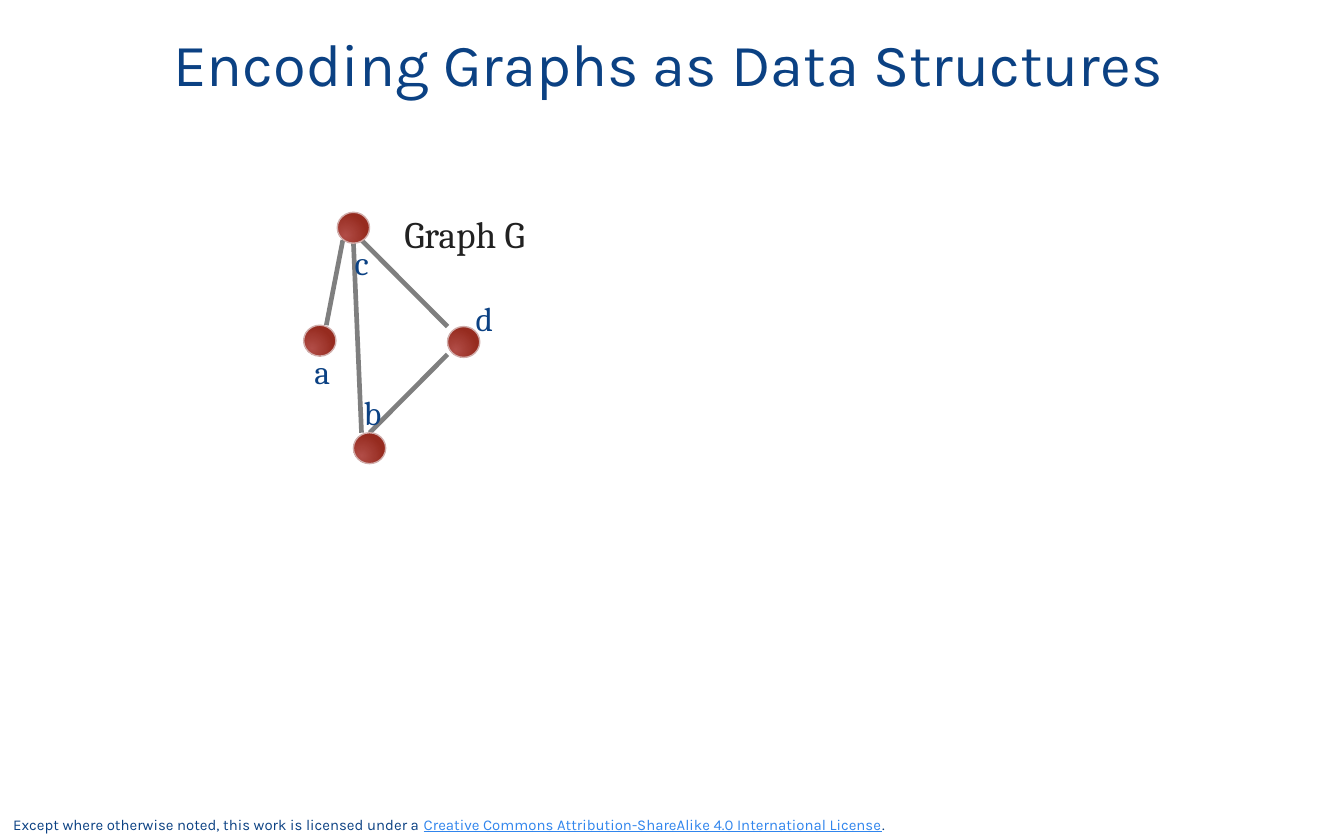
from lxml import etree
from pptx import Presentation
from pptx import util as u
from pptx.dml.color import RGBColor
from pptx.enum import shapes, text
from pptx.oxml import ns

WIDTH, HEIGHT = 10, 6.25
NODE_WIDTH, NODE_HEIGHT = 0.24, 0.23

NAVY = RGBColor(0x0B, 0x41, 0x83)
LINK_BLUE = RGBColor(0x30, 0x85, 0xED)
INK = RGBColor(0x21, 0x21, 0x21)
GRAY = RGBColor(0x7F, 0x7F, 0x7F)
LIGHT_RED = RGBColor(0xB1, 0x4D, 0x47)
DARK_RED = RGBColor(0x96, 0x2B, 0x1F)
NODE_RIM = RGBColor(0xD1, 0xAE, 0xAC)

# Left, top of each node
NODES = {"c": (2.51, 1.58), "d": (3.33, 2.43), "b": (2.63, 3.22), "a": (2.26, 2.42)}

# Edges: node, share of its width and height, then the same for the other end
EDGES = [
    ("c", 0.17, 0.9, "a", 0.7, 0),
    ("c", 0.5, 1, "b", 0.25, 0),
    ("c", 0.75, 0.9, "d", 0, 0),
    ("b", 0.5, 0, "d", 0, 0.9),
]

# Left, top, width of each node label
LABELS = {
    "a": (2.24, 2.56, 0.33),
    "b": (2.61, 2.87, 0.34),
    "c": (2.54, 1.75, 0.32),
    "d": (3.44, 2.17, 0.35),
}


def add_text(slide, box, runs, font, size, wrap=False,
             anchor=text.MSO_ANCHOR.TOP, align=text.PP_ALIGN.LEFT):
    """Add one paragraph; runs holds (words, colour, underline)."""
    shape = slide.shapes.add_textbox(*map(u.Inches, box))
    frame = shape.text_frame
    frame.word_wrap = wrap
    frame.vertical_anchor = anchor
    paragraph = frame.paragraphs[0]
    paragraph.alignment = align
    for words, color, underline in runs:
        run = paragraph.add_run()
        run.text = words
        run.font.name = font
        run.font.size = u.Pt(size)
        run.font.color.rgb = color
        run.font.underline = underline


def point_on(node, across, down):
    left, top = NODES[node]
    return u.Inches(left + across * NODE_WIDTH), u.Inches(top + down * NODE_HEIGHT)


def add_edge(slide, start, end):
    line = slide.shapes.add_connector(shapes.MSO_CONNECTOR.STRAIGHT, *start, *end)
    line.line.color.rgb = GRAY
    line.line.width = u.Pt(2.5)
    etree.SubElement(line._element.spPr, ns.qn("a:effectLst"))


def add_node(slide, left, top):
    box = map(u.Inches, (left, top, NODE_WIDTH, NODE_HEIGHT))
    shape = slide.shapes.add_shape(shapes.MSO_SHAPE.OVAL, *box)
    shape.shadow.inherit = False
    shape.line.color.rgb = NODE_RIM
    shape.line.width = u.Pt(0.75)
    shape.fill.gradient()
    for stop, color, position in zip(shape.fill.gradient_stops,
                                     (LIGHT_RED, DARK_RED), (0, 1)):
        stop.color.rgb = color
        stop.position = position
    # Radial shading instead of linear
    linear = shape._element.spPr.find(".//" + ns.qn("a:lin"))
    radial = etree.Element(ns.qn("a:path"), path="circle")
    etree.SubElement(radial, ns.qn("a:fillToRect"),
                     l="50000", t="100000", r="100000", b="50000")
    linear.getparent().replace(linear, radial)


def main():
    presentation = Presentation()
    presentation.slide_width = u.Inches(WIDTH)
    presentation.slide_height = u.Inches(HEIGHT)
    slide = presentation.slides.add_slide(presentation.slide_layouts[6])

    # Licence line
    licence = [
        ("Except where otherwise noted, this work is licensed under a ", NAVY, False),
        ("Creative Commons Attribution-ShareAlike 4.0 International License",
         LINK_BLUE, True),
        (".", NAVY, False),
    ]
    add_text(slide, (0, HEIGHT - 0.23, 0.75 * WIDTH, 0.23), licence, "Karla", 8,
             wrap=True, anchor=text.MSO_ANCHOR.BOTTOM)

    # Title
    add_text(slide, (0.51, 0.14, 8.93, 0.65),
             [("Encoding Graphs as Data Structures", NAVY, False)], "Karla", 32,
             wrap=True, anchor=text.MSO_ANCHOR.MIDDLE, align=text.PP_ALIGN.CENTER)

    # Graph: edges, then nodes, then labels
    for edge in EDGES:
        add_edge(slide, point_on(*edge[:3]), point_on(*edge[3:]))
    for left, top in NODES.values():
        add_node(slide, left, top)
    for name, (left, top, width) in LABELS.items():
        add_text(slide, (left, top, width, 0.4), [(name, NAVY, False)], "Cambria", 18)
    add_text(slide, (2.91, 1.52, 1.22, 0.44), [("Graph G", INK, False)], "Cambria", 20)

    presentation.save("out.pptx")


if __name__ == "__main__":
    main()
